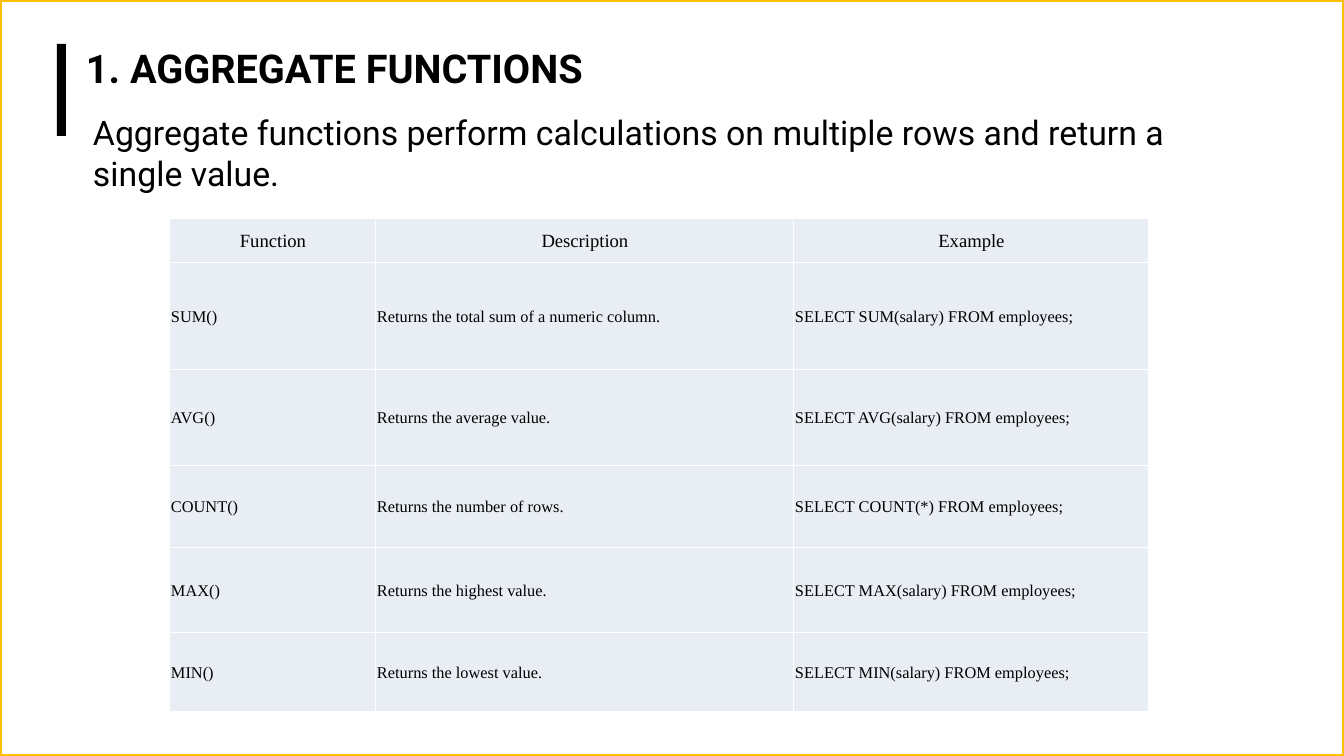
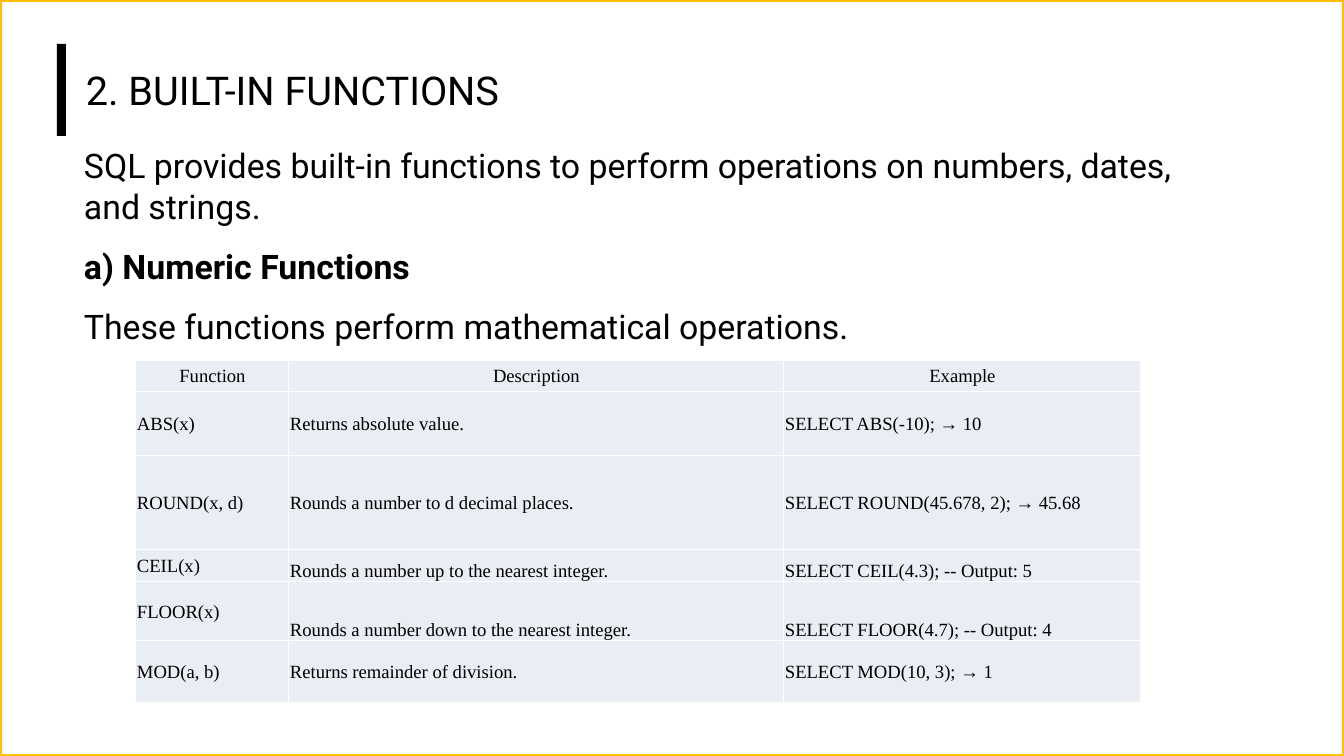
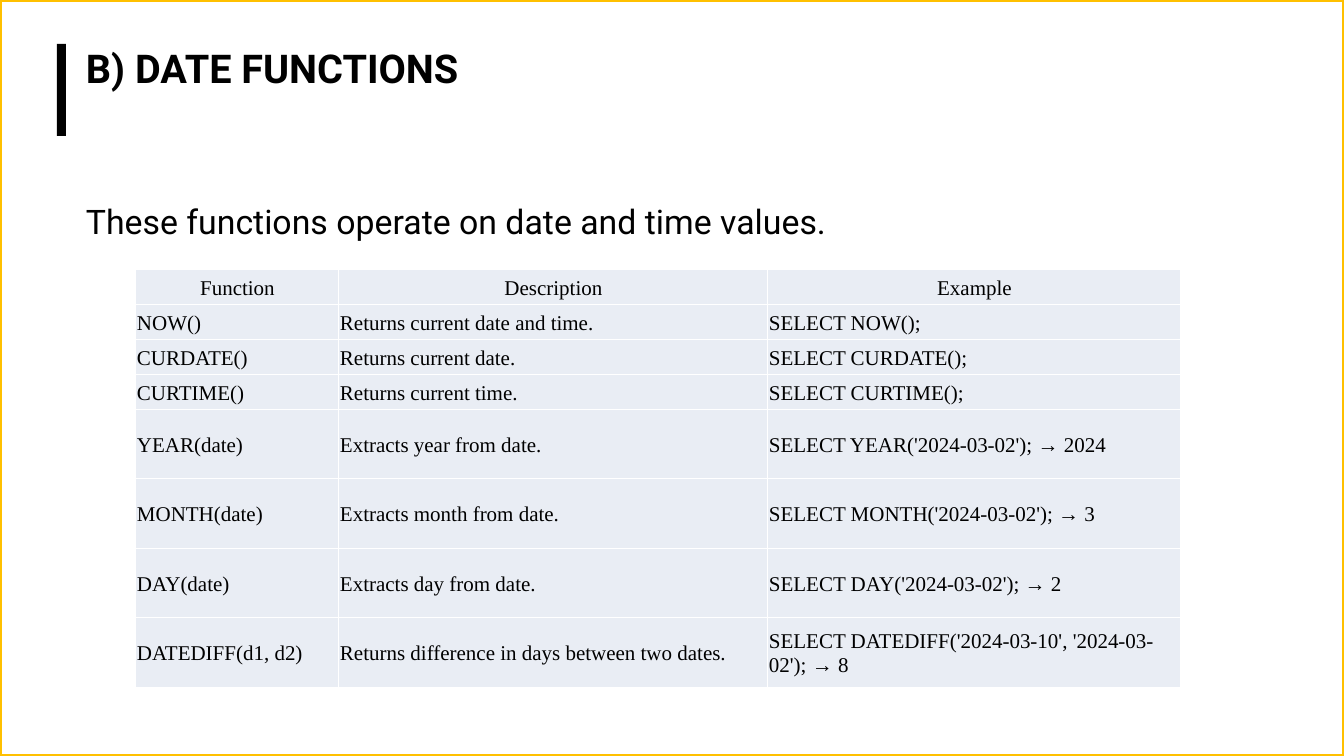
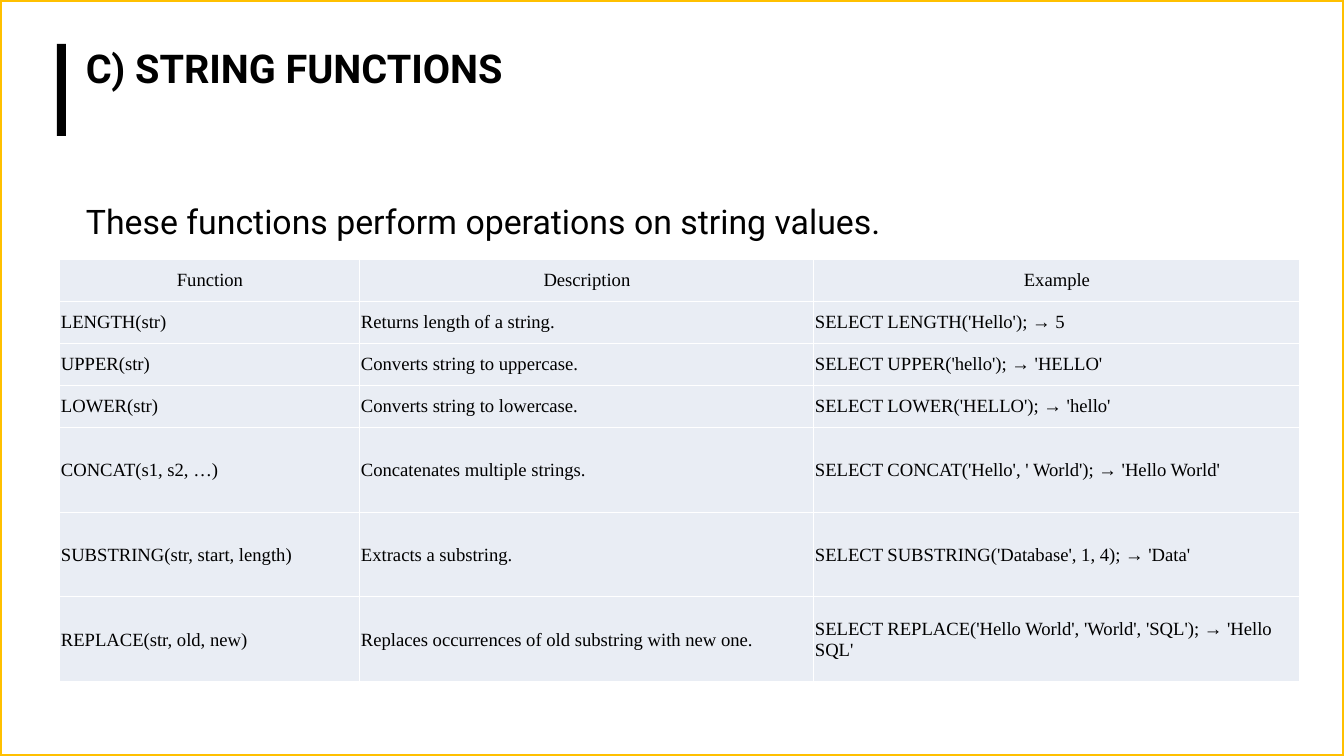
from dataclasses import dataclass

import pptx
import pptx.dml.color
import pptx.enum.shapes
import pptx.enum.text
import pptx.oxml
import pptx.oxml.ns
import pptx.slide
import pptx.text.text
import pptx.util
from pptx.enum.text import MSO_ANCHOR, PP_ALIGN

PX_PER_INCH = 84


@dataclass(frozen=True)
class Theme:
    paper: str = "FFFFFF"
    ink: str = "000000"
    frame: str = "FFC000"
    cell: str = "E9EDF4"
    heading_font: str = "Roboto"
    table_font: str = "Times New Roman"
    title_size: int = 34
    body_size: int = 29
    header_size: int = 16
    space_after: float = 16.8
    frame_width: int = 3
    frame_alpha: int = 49
    border_width: int = 1


THEME = Theme()


@dataclass(frozen=True)
class Box:
    left: int
    top: int
    width: int
    height: int


@dataclass(frozen=True)
class Line:
    text: str
    bold: bool = False


@dataclass(frozen=True)
class Grid:
    left: int
    top: int
    columns: list[int]
    rows: list[int]
    entries: list[tuple[str, str, str]]
    header_size: int = THEME.header_size
    entry_size: int = THEME.header_size
    low_rows: tuple[int, ...] = ()  # rows whose last two cells sit at the bottom


@dataclass(frozen=True)
class Page:
    title: Line
    title_anchor: MSO_ANCHOR
    body_box: Box
    body: list[Line]
    grid: Grid


PAGE_BOX = Box(0, 0, 1344, 756)
BAR_BOX = Box(57, 44, 9, 92)
TITLE_BOX = Box(76, 44, 685, 92)
TABLE_HEADER = ("Function", "Description", "Example")

PAGES = [
    Page(
        Line("1. AGGREGATE FUNCTIONS", True), MSO_ANCHOR.TOP,
        Box(83, 107, 1158, 476),
        [Line("Aggregate functions perform calculations on multiple rows and return a single value.")],
        Grid(170, 219, [206, 418, 355], [44, 107, 96, 82, 85, 79], [
            ("SUM()", "Returns the total sum of a numeric column.", "SELECT SUM(salary) FROM employees;"),
            ("AVG()", "Returns the average value.", "SELECT AVG(salary) FROM employees;"),
            ("COUNT()", "Returns the number of rows.", "SELECT COUNT(*) FROM employees;"),
            ("MAX()", "Returns the highest value.", "SELECT MAX(salary) FROM employees;"),
            ("MIN()", "Returns the lowest value.", "SELECT MIN(salary) FROM employees;"),
        ], entry_size=14),
    ),
    Page(
        Line("2. BUILT-IN FUNCTIONS"), MSO_ANCHOR.MIDDLE,
        Box(74, 140, 1144, 476),
        [
            Line("SQL provides built-in functions to perform operations on numbers, dates, and strings."),
            Line("a) Numeric Functions", True),
            Line("These functions perform mathematical operations."),
        ],
        Grid(136, 360, [153, 495, 357], [32, 64, 94, 32, 59, 62], [
            ("ABS(x)", "Returns absolute value.", "SELECT ABS(-10); → 10"),
            ("ROUND(x, d)", "Rounds a number to d decimal places.", "SELECT ROUND(45.678, 2); → 45.68"),
            ("CEIL(x)", "Rounds a number up to the nearest integer.", "SELECT CEIL(4.3); -- Output: 5"),
            ("FLOOR(x)", "Rounds a number down to the nearest integer.", "SELECT FLOOR(4.7); -- Output: 4"),
            ("MOD(a, b)", "Returns remainder of division.", "SELECT MOD(10, 3); → 1"),
        ], low_rows=(3, 4)),
    ),
    Page(
        Line("B) DATE FUNCTIONS", True), MSO_ANCHOR.TOP,
        Box(76, 196, 1065, 476),
        [Line("These functions operate on date and time values.")],
        Grid(136, 270, [203, 429, 413], [35] * 4 + [69, 70] * 2, [
            ("NOW()", "Returns current date and time.", "SELECT NOW();"),
            ("CURDATE()", "Returns current date.", "SELECT CURDATE();"),
            ("CURTIME()", "Returns current time.", "SELECT CURTIME();"),
            ("YEAR(date)", "Extracts year from date.", "SELECT YEAR('2024-03-02'); → 2024"),
            ("MONTH(date)", "Extracts month from date.", "SELECT MONTH('2024-03-02'); → 3"),
            ("DAY(date)", "Extracts day from date.", "SELECT DAY('2024-03-02'); → 2"),
            ("DATEDIFF(d1, d2)", "Returns difference in days between two dates.",
             "SELECT DATEDIFF('2024-03-10', '2024-03-02'); → 8"),
        ], header_size=18, entry_size=18),
    ),
    Page(
        Line("C) STRING FUNCTIONS", True), MSO_ANCHOR.TOP,
        Box(76, 196, 1026, 476),
        [Line("These functions perform operations on string values.")],
        Grid(60, 259, [300, 454, 486], [42] * 4 + [85] * 3, [
            ("LENGTH(str)", "Returns length of a string.", "SELECT LENGTH('Hello'); → 5"),
            ("UPPER(str)", "Converts string to uppercase.", "SELECT UPPER('hello'); → 'HELLO'"),
            ("LOWER(str)", "Converts string to lowercase.", "SELECT LOWER('HELLO'); → 'hello'"),
            ("CONCAT(s1, s2, …)", "Concatenates multiple strings.",
             "SELECT CONCAT('Hello', ' World'); → 'Hello World'"),
            ("SUBSTRING(str, start, length)", "Extracts a substring.",
             "SELECT SUBSTRING('Database', 1, 4); → 'Data'"),
            ("REPLACE(str, old, new)", "Replaces occurrences of old substring with new one.",
             "SELECT REPLACE('Hello World', 'World', 'SQL'); → 'Hello SQL'"),
        ]),
    ),
]


def px(length: int) -> pptx.util.Emu:
    return pptx.util.Emu(round(length * 914400 / PX_PER_INCH))


def place(box: Box) -> tuple[pptx.util.Emu, ...]:
    return px(box.left), px(box.top), px(box.width), px(box.height)


def color(code: str) -> pptx.dml.color.RGBColor:
    return pptx.dml.color.RGBColor.from_string(code)


def style_text(para: pptx.text.text._Paragraph, font: str, size: int, bold: bool = False) -> None:
    for span in para.runs:
        span.font.name = font
        span.font.size = pptx.util.Pt(size)
        span.font.bold = bold
        span.font.color.rgb = color(THEME.ink)


def add_rectangle(page: pptx.slide.Slide, box: Box, fill: str):
    shape = page.shapes.add_shape(pptx.enum.shapes.MSO_SHAPE.RECTANGLE, *place(box))
    shape.shadow.inherit = False
    shape.fill.solid()
    shape.fill.fore_color.rgb = color(fill)
    shape.line.fill.background()
    return shape


def add_background(page: pptx.slide.Slide) -> None:
    """Draw the page frame and the bar beside the title."""
    frame = add_rectangle(page, PAGE_BOX, THEME.paper)
    fill_color = frame.fill._xPr.find(".//" + pptx.oxml.ns.qn("a:srgbClr"))
    fill_color.append(pptx.oxml.parse_xml(
        f'<a:alpha {pptx.oxml.ns.nsdecls("a")} val="{THEME.frame_alpha * 1000}"/>'))
    frame.line.color.rgb = color(THEME.frame)
    frame.line.width = pptx.util.Pt(THEME.frame_width)
    add_rectangle(page, BAR_BOX, THEME.ink)


def add_text(page: pptx.slide.Slide, box: Box, lines: list[Line], size: int,
             anchor: MSO_ANCHOR, inset: int, space_after: float = 0) -> None:
    frame = page.shapes.add_textbox(*place(box)).text_frame
    frame.word_wrap = True
    frame.vertical_anchor = anchor
    frame.margin_left = frame.margin_right = px(10)
    frame.margin_top = frame.margin_bottom = px(inset)
    frame.text = "\n".join(line.text for line in lines)
    for para, line in zip(frame.paragraphs, lines):
        para.space_after = pptx.util.Pt(space_after)
        style_text(para, THEME.heading_font, size, line.bold)


def add_borders(cell) -> None:
    properties = cell._tc.get_or_add_tcPr()
    width = pptx.util.Pt(THEME.border_width)
    for index, side in enumerate(("lnL", "lnR", "lnT", "lnB")):
        properties.insert(index, pptx.oxml.parse_xml(
            f'<a:{side} {pptx.oxml.ns.nsdecls("a")} w="{width}"><a:solidFill>'
            f'<a:srgbClr val="{THEME.paper}"/></a:solidFill></a:{side}>'))


def add_grid(page: pptx.slide.Slide, grid: Grid) -> None:
    box = Box(grid.left, grid.top, sum(grid.columns), sum(grid.rows))
    table = page.shapes.add_table(len(grid.rows), len(grid.columns), *place(box)).table
    table.horz_banding = False
    for column, width in zip(table.columns, grid.columns):
        column.width = px(width)
    for row, height in zip(table.rows, grid.rows):
        row.height = px(height)

    for row_index, entry in enumerate([TABLE_HEADER, *grid.entries]):
        is_header = row_index == 0
        for column_index, text in enumerate(entry):
            cell = table.cell(row_index, column_index)
            cell.text_frame.text = text
            cell.margin_left = cell.margin_right = cell.margin_top = px(1)
            cell.margin_bottom = 0
            is_low = row_index in grid.low_rows and column_index > 0
            cell.vertical_anchor = MSO_ANCHOR.BOTTOM if is_low else MSO_ANCHOR.MIDDLE
            cell.fill.solid()
            cell.fill.fore_color.rgb = color(THEME.cell)
            add_borders(cell)
            para = cell.text_frame.paragraphs[0]
            para.alignment = PP_ALIGN.CENTER if is_header else PP_ALIGN.LEFT
            style_text(para, THEME.table_font, grid.header_size if is_header else grid.entry_size)


def main() -> None:
    deck = pptx.Presentation()
    deck.slide_width, deck.slide_height = px(PAGE_BOX.width), px(PAGE_BOX.height)
    blank_layout = deck.slide_layouts[6]
    for content in PAGES:
        page = deck.slides.add_slide(blank_layout)
        add_background(page)
        add_text(page, content.body_box, content.body, THEME.body_size,
                 MSO_ANCHOR.TOP, 5, THEME.space_after)
        add_text(page, TITLE_BOX, [content.title], THEME.title_size, content.title_anchor, 0)
        add_grid(page, content.grid)
    deck.save("out.pptx")


if __name__ == "__main__":
    main()
